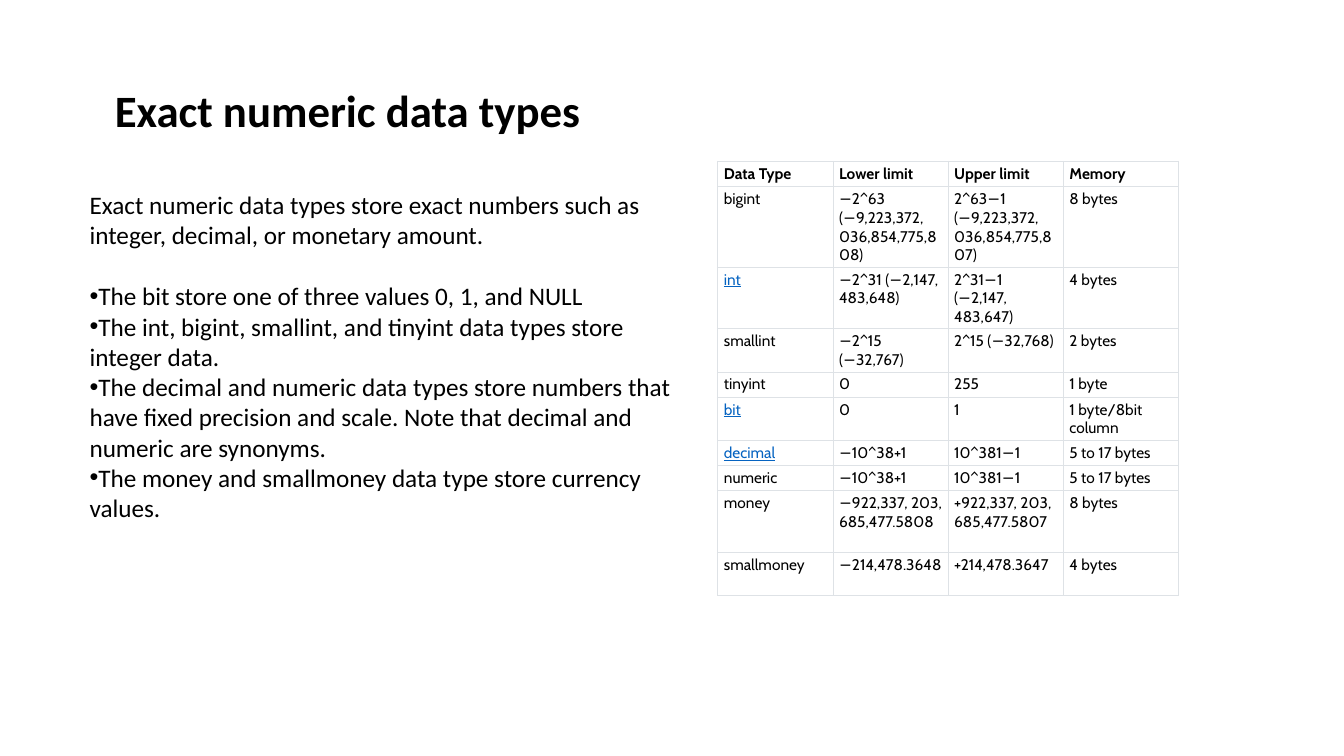
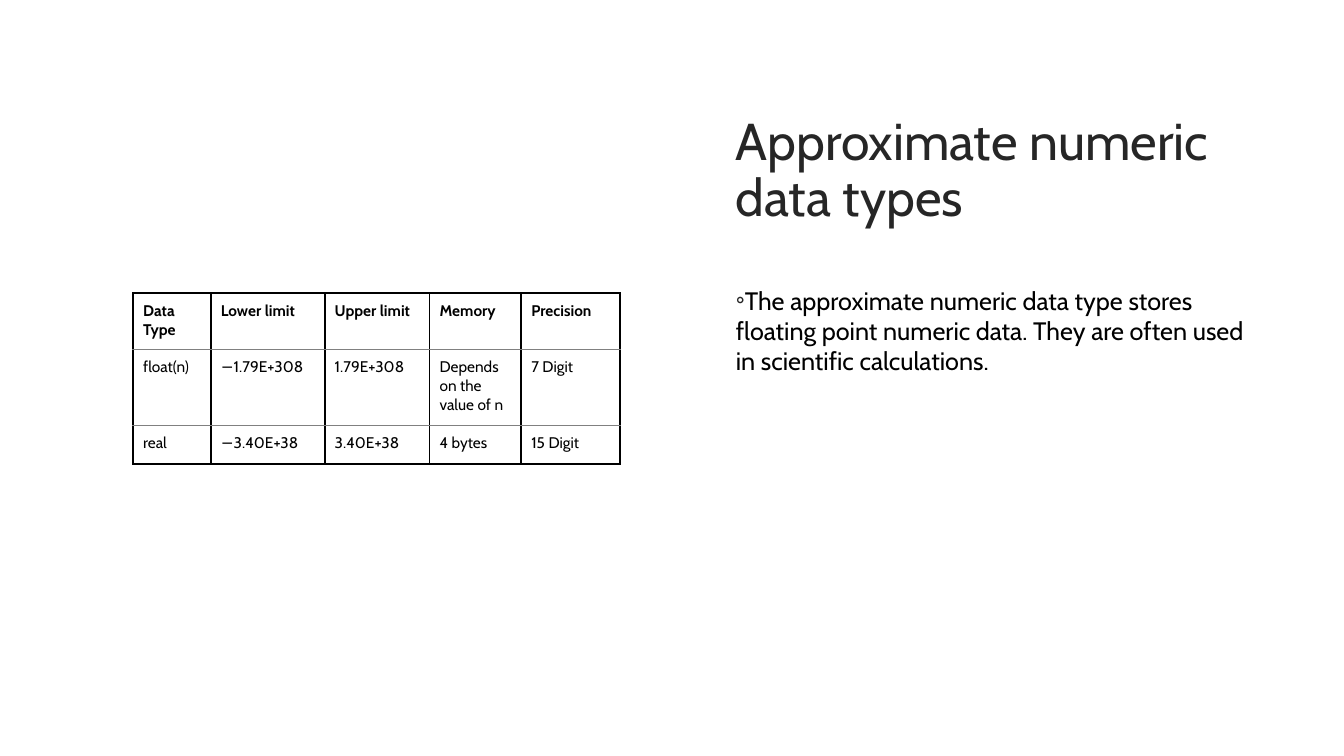
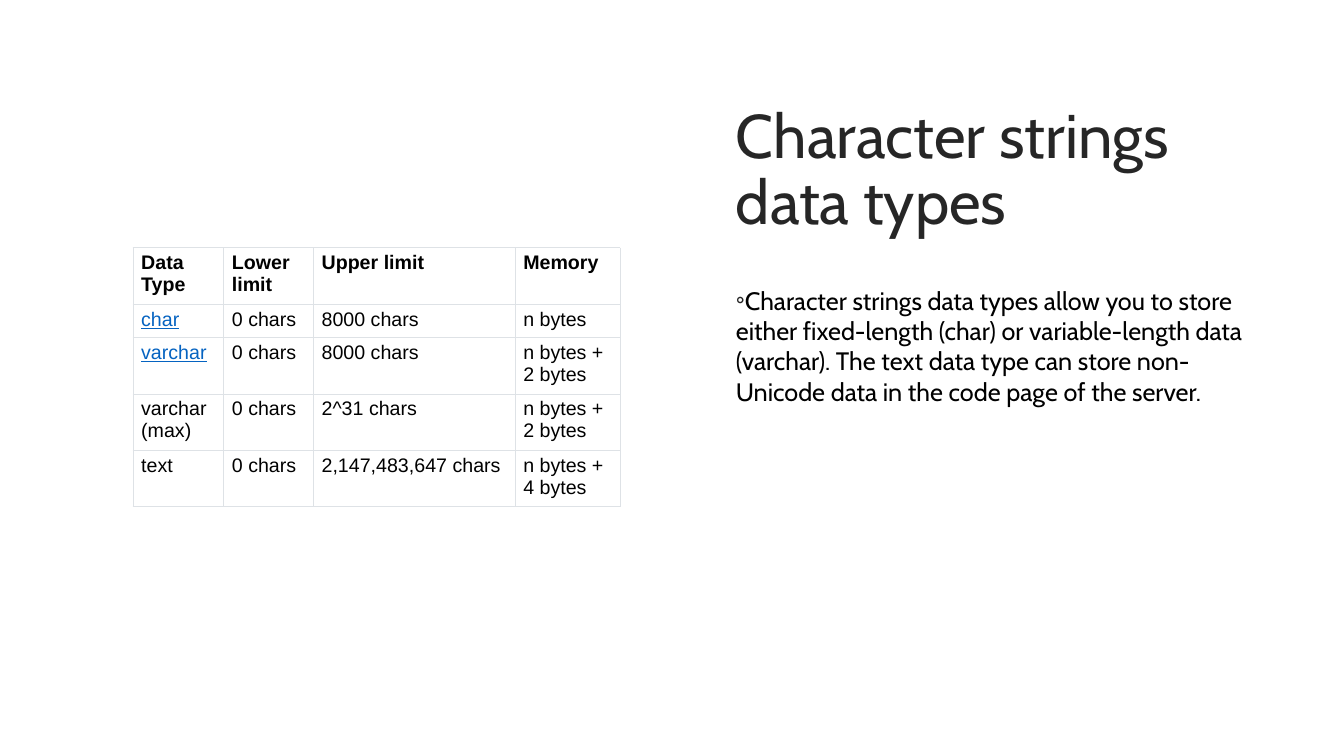
from dataclasses import dataclass

from lxml.etree import SubElement
from pptx import Presentation
from pptx.dml.color import RGBColor
from pptx.enum.text import MSO_ANCHOR as Anchor
from pptx.oxml.ns import qn
from pptx.slide import Slide
from pptx.table import _Cell as Cell
from pptx.text.text import TextFrame, _Paragraph as Paragraph
from pptx.util import Inches, Pt


@dataclass(frozen=True)
class Theme:
    ink: str = "000000"
    title_ink: str = "262626"
    link: str = "0563C1"
    paper: str = "FFFFFF"
    pale_rule: str = "DEE2E6"
    gray_rule: str = "808080"
    title_font: str = "Cabin"
    plain_font: str = "Calibri"
    table_font: str = "Arial"
    body_size: int = 18
    small_size: int = 11
    table_size: int = 14
    heading_size: int = 32
    title_size: int = 37
    large_title_size: int = 44


THEME = Theme()


@dataclass(frozen=True)
class Area:
    left: float
    top: float
    width: float
    height: float


@dataclass(frozen=True)
class Style:
    font: str
    size: int
    color: str = THEME.ink
    bold: bool = False
    underline: bool = False


@dataclass(frozen=True)
class Rule:
    color: str
    width: float


@dataclass(frozen=True)
class Bullet:
    mark: str
    font: str
    color: str
    indent: float = 0


@dataclass(frozen=True)
class TableDesign:
    left: float
    top: float
    columns: list[float]
    rows: list[float]
    insets: tuple[float, float, float, float]
    font: str
    size: int
    frame: Rule
    divider: Rule
    links: tuple[str, ...] = ()
    filled: bool = False


TITLE_AREA = Area(7.2, 0.8, 5.42, 1.8)
BODY_AREA = Area(7.2, 2.78, 5.42, 3.82)
HEADING_AREA = Area(1.04, 0.77, 4.86, 1.18)
NOTES_AREA = Area(0.79, 1.83, 6.14, 3.74)
PALE_RULE = Rule(THEME.pale_rule, 0.75)
DOT = Bullet("•", "Arial", THEME.ink)
RING = Bullet("◦", "Calibri", THEME.title_ink, -0.2)

EXACT_ROWS = [
    ["Data Type", "Lower limit", "Upper limit", "Memory"],
    ["bigint", "−2^63 (−9,223,372, 036,854,775,808)", "2^63−1 (−9,223,372, 036,854,775,807)", "8 bytes"],
    ["int", "−2^31 (−2,147, 483,648)", "2^31−1 (−2,147, 483,647)", "4 bytes"],
    ["smallint", "−2^15 (−32,767)", "2^15 (−32,768)", "2 bytes"],
    ["tinyint", "0", "255", "1 byte"],
    ["bit", "0", "1", "1 byte/8bit column"],
    ["decimal", "−10^38+1", "10^381−1", "5 to 17 bytes"],
    ["numeric", "−10^38+1", "10^381−1", "5 to 17 bytes"],
    ["money", "−922,337, 203, 685,477.5808", "+922,337, 203, 685,477.5807", "8 bytes"],
    ["smallmoney", "−214,478.3648", "+214,478.3647", "4 bytes"],
]
EXACT_TABLE = TableDesign(
    7.12, 1.6, [4.57 / 4] * 4,
    [0.25, 0.8, 0.61, 0.43, 0.25, 0.43, 0.25, 0.25, 0.61, 0.43],
    (0.06, 0.03, 0.06, 0.03), THEME.title_font, THEME.small_size,
    PALE_RULE, PALE_RULE, ("int", "bit", "decimal"), True,
)
EXACT_INTRO = "Exact numeric data types store exact numbers such as integer, decimal, or monetary amount."
EXACT_POINTS = [
    "The bit store one of three values 0, 1, and NULL",
    "The int, bigint, smallint, and tinyint data types store integer data.",
    "The decimal and numeric data types store numbers that have fixed precision and scale. "
    "Note that decimal and numeric are synonyms.",
    "The money and smallmoney data type store currency values.",
]

APPROXIMATE_ROWS = [
    ["Data Type", "Lower limit", "Upper limit", "Memory", "Precision"],
    ["float(n)", "−1.79E+308", "1.79E+308", "Depends on the value of n", "7 Digit"],
    ["real", "−3.40E+38", "3.40E+38", "4 bytes", "15 Digit"],
]
APPROXIMATE_TABLE = TableDesign(
    1.32, 2.91, [0.77, 1.13, 1.04, 0.91, 0.98], [0.56, 0.75, 0.38],
    (0.1, 0.08, 0.08, 0.08), THEME.title_font, THEME.small_size,
    Rule(THEME.ink, 1.5), Rule(THEME.gray_rule, 0.5),
)
APPROXIMATE_TEXT = (
    "The approximate numeric data type stores floating point numeric data. "
    "They are often used in scientific calculations."
)

STRING_ROWS = [
    ["Data Type", "Lower limit", "Upper limit", "Memory"],
    ["char", "0 chars", "8000 chars", "n bytes"],
    ["varchar", "0 chars", "8000 chars", "n bytes + 2 bytes"],
    ["varchar (max)", "0 chars", "2^31 chars", "n bytes + 2 bytes"],
    ["text", "0 chars", "2,147,483,647 chars", "n bytes + 4 bytes"],
]
STRING_TABLE = TableDesign(
    1.32, 2.46, [0.9, 0.89, 2, 1.04], [0.56, 0.33, 0.56, 0.56, 0.56],
    (0.08, 0.04, 0.08, 0.04), THEME.table_font, THEME.table_size,
    PALE_RULE, PALE_RULE, ("char", "varchar"),
)
STRING_TEXT = (
    "Character strings data types allow you to store either fixed-length (char) or "
    "variable-length data (varchar). The text data type can store non-Unicode data "
    "in the code page of the server."
)


def format_runs(para: Paragraph, style: Style) -> None:
    for span in para.runs:
        span.font.name = style.font
        span.font.size = Pt(style.size)
        span.font.bold = style.bold
        span.font.underline = style.underline
        span.font.color.rgb = RGBColor.from_string(style.color)


def add_bullet(para: Paragraph, bullet: Bullet) -> None:
    properties = para._p.get_or_add_pPr()
    properties.set("marL", "0")
    properties.set("indent", str(Inches(bullet.indent)))
    color = SubElement(properties, qn("a:buClr"))
    SubElement(color, qn("a:srgbClr"), val=bullet.color)
    SubElement(properties, qn("a:buFont"), typeface=bullet.font)
    SubElement(properties, qn("a:buChar"), char=bullet.mark)


def add_text(slide: Slide, area: Area, text: str, style: Style, wrap: bool = True) -> TextFrame:
    box = slide.shapes.add_textbox(
        Inches(area.left), Inches(area.top), Inches(area.width), Inches(area.height)
    )
    frame = box.text_frame
    frame.word_wrap = wrap
    frame.text = text
    for para in frame.paragraphs:
        format_runs(para, style)
    return frame


def add_title_and_body(slide: Slide, title: str, size: int, body: str) -> None:
    frame = add_text(slide, TITLE_AREA, title, Style(THEME.title_font, size, THEME.title_ink))
    frame.vertical_anchor = Anchor.MIDDLE
    frame.paragraphs[0].line_spacing = 0.9
    frame.paragraphs[0].space_after = Pt(6)
    para = add_text(slide, BODY_AREA, body, Style(THEME.title_font, THEME.body_size)).paragraphs[0]
    para.space_after = Pt(6)
    add_bullet(para, RING)


def set_borders(cell: Cell, rules: dict[str, Rule]) -> None:
    properties = cell._tc.get_or_add_tcPr()
    for side, rule in rules.items():
        line = SubElement(properties, qn(f"a:ln{side}"), w=str(Pt(rule.width)))
        fill = SubElement(line, qn("a:solidFill"))
        SubElement(fill, qn("a:srgbClr"), val=rule.color)


def fill_cell(cell: Cell, text: str, style: Style, design: TableDesign) -> None:
    cell.margin_left, cell.margin_top, cell.margin_right, cell.margin_bottom = map(Inches, design.insets)
    cell.text_frame.text = text
    format_runs(cell.text_frame.paragraphs[0], style)
    if design.filled:
        cell.fill.solid()
        cell.fill.fore_color.rgb = RGBColor.from_string(THEME.paper)
    else:
        cell.fill.background()


def add_data_table(slide: Slide, design: TableDesign, rows: list[list[str]]) -> None:
    table = slide.shapes.add_table(
        len(rows), len(rows[0]), Inches(design.left), Inches(design.top),
        Inches(sum(design.columns)), Inches(sum(design.rows)),
    ).table
    table.first_row = table.horz_banding = False
    for column, width in zip(table.columns, design.columns):
        column.width = Inches(width)
    for row, height in zip(table.rows, design.rows):
        row.height = Inches(height)
    last = len(rows) - 1
    for row_index, values in enumerate(rows):
        rules = {
            "L": design.frame,
            "R": design.frame,
            "T": design.frame if row_index == 0 else design.divider,
            "B": design.frame if row_index == last else design.divider,
        }
        for column_index, text in enumerate(values):
            linked = text in design.links
            style = Style(
                design.font, design.size, THEME.link if linked else THEME.ink,
                bold=row_index == 0, underline=linked,
            )
            cell = table.cell(row_index, column_index)
            set_borders(cell, rules)
            fill_cell(cell, text, style, design)


def build_exact(page: Slide) -> None:
    heading = Style(THEME.plain_font, THEME.heading_size, bold=True)
    add_text(page, HEADING_AREA, "Exact numeric data types", heading, wrap=False)
    add_data_table(page, EXACT_TABLE, EXACT_ROWS)
    notes = "\n".join([EXACT_INTRO, *EXACT_POINTS])
    frame = add_text(page, NOTES_AREA, notes, Style(THEME.plain_font, THEME.body_size))
    intro, *points = frame.paragraphs
    intro.space_after = Pt(22)
    for para in points:
        add_bullet(para, DOT)


def build_approximate(page: Slide) -> None:
    add_title_and_body(page, "Approximate numeric data types", THEME.title_size, APPROXIMATE_TEXT)
    add_data_table(page, APPROXIMATE_TABLE, APPROXIMATE_ROWS)


def build_strings(page: Slide) -> None:
    add_title_and_body(page, "Character strings data types", THEME.large_title_size, STRING_TEXT)
    add_data_table(page, STRING_TABLE, STRING_ROWS)


def main() -> None:
    deck = Presentation()
    deck.slide_width, deck.slide_height = Inches(13.33), Inches(7.5)
    for build in (build_exact, build_approximate, build_strings):
        build(deck.slides.add_slide(deck.slide_layouts[6]))
    deck.save("out.pptx")


if __name__ == "__main__":
    main()
